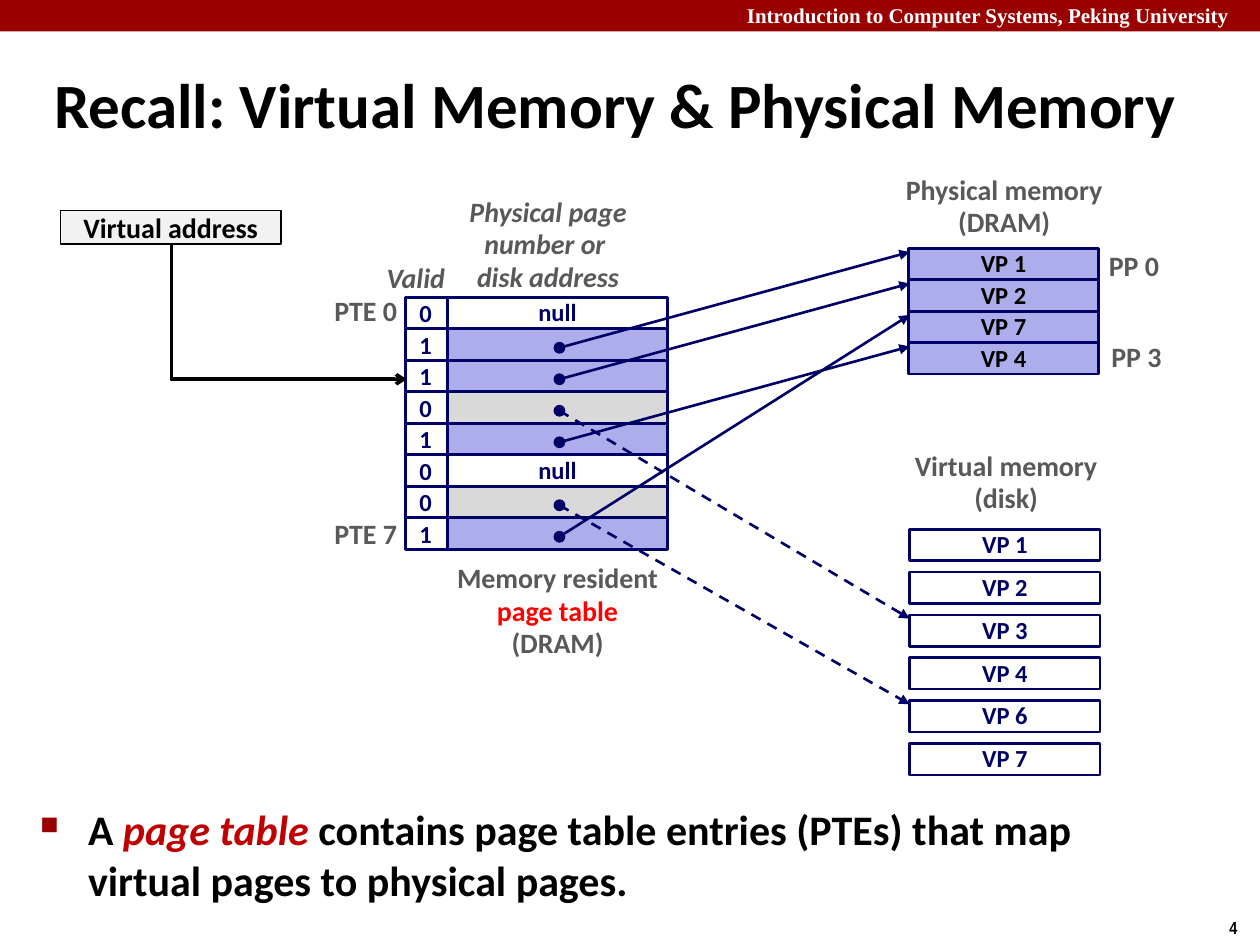
from lxml import etree
from pptx import Presentation
from pptx.dml.color import RGBColor
from pptx.enum.dml import MSO_LINE
from pptx.enum.shapes import MSO_CONNECTOR, MSO_SHAPE
from pptx.enum.text import MSO_ANCHOR, MSO_AUTO_SIZE, PP_ALIGN
from pptx.oxml.ns import qn
from pptx.util import Inches, Pt

RECT, OVAL = MSO_SHAPE.RECTANGLE, MSO_SHAPE.OVAL
STRAIGHT, ELBOW = MSO_CONNECTOR.STRAIGHT, MSO_CONNECTOR.ELBOW
LEFT, CENTER, RIGHT = PP_ALIGN.LEFT, PP_ALIGN.CENTER, PP_ALIGN.RIGHT
TOP, MIDDLE = MSO_ANCHOR.TOP, MSO_ANCHOR.MIDDLE
FIT, NO_FIT = MSO_AUTO_SIZE.SHAPE_TO_FIT_TEXT, MSO_AUTO_SIZE.NONE
DASH = MSO_LINE.DASH

NAVY, LILAC, SILVER, WHITE, BLACK = "000066", "ADADEB", "D9D9D9", "FFFFFF", "000000"
GRAY, MAROON = "595959", "990000"

ROW_H = 0.25
TABLE_TOP, VALID_X, ENTRY_X = 2.36, 3.22, 3.55
DOT_X, DOT_SIZE = 4.4, 0.08
# valid bit, fill, kind of target, target page
PAGE_TABLE = [
    ("0", WHITE, None, None),
    ("1", LILAC, "memory", "VP 1"),
    ("1", LILAC, "memory", "VP 2"),
    ("0", SILVER, "disk", "VP 3"),
    ("1", LILAC, "memory", "VP 4"),
    ("0", WHITE, None, None),
    ("0", SILVER, "disk", "VP 6"),
    ("1", LILAC, "memory", "VP 7"),
]
MEMORY_TOPS = {page: 1.97 + ROW_H * i
               for i, page in enumerate(["VP 1", "VP 2", "VP 7", "VP 4"])}
DISK_TOPS = {page: 4.2 + 0.34 * i
             for i, page in enumerate(["VP 1", "VP 2", "VP 3", "VP 4", "VP 6", "VP 7"])}
PAGE_TOPS = {"memory": MEMORY_TOPS, "disk": DISK_TOPS}
PAGE_X, PAGE_W = 7.22, 1.51


def rgb(value):
    return RGBColor.from_string(value)


class Diagram:
    def __init__(self, slide):
        self.slide = slide
        self.font = {"name": "Calibri", "size": Pt(16), "bold": True, "italic": False}

    def set_text(self, shape, paragraphs, align=CENTER, anchor=MIDDLE, spacing=0.98,
                 wrap=False, color=GRAY, **font):
        """Fill a shape; each paragraph is a string or a list of (text, format) runs."""
        tf = shape.text_frame
        tf.word_wrap, tf.vertical_anchor = wrap, anchor
        for i, runs in enumerate(paragraphs):
            p = tf.paragraphs[0] if i == 0 else tf.add_paragraph()
            p.alignment, p.line_spacing = align, spacing
            for text, extra in [(runs, {})] if isinstance(runs, str) else runs:
                r = p.add_run()
                r.text = text
                look = {**self.font, "color": color, **font, **extra}
                r.font.color.rgb = rgb(look.pop("color"))
                for name, value in look.items():
                    setattr(r.font, name, value)
        return tf

    def title(self, text, box):
        sp = self.slide.shapes.title
        for name, value in zip(("left", "top", "width", "height"), box):
            setattr(sp, name, Inches(value))
        self.set_text(sp, [text], align=LEFT, spacing=1.0, wrap=True,
                      color=BLACK, size=Pt(36))

    def shape(self, box, fill=None, line=NAVY, width=1.5, kind=RECT):
        sp = self.slide.shapes.add_shape(kind, *map(Inches, box))
        sp.shadow.inherit = False
        if fill:
            sp.fill.solid()
            sp.fill.fore_color.rgb = rgb(fill)
        else:
            sp.fill.background()
        if line:
            sp.line.color.rgb = rgb(line)
            sp.line.width = Pt(width)
        else:
            sp.line.fill.background()
        return sp

    def cell(self, box, text, fill, color):
        self.set_text(self.shape(box, fill), [text], color=color, size=Pt(14))

    def label(self, box, paragraphs, fit=FIT, **style):
        sp = self.slide.shapes.add_textbox(*map(Inches, box))
        tf = self.set_text(sp, paragraphs, **style)
        tf.auto_size = fit
        return tf

    def arrow(self, start, end, color=NAVY, width=1.5, dashed=False,
              kind=STRAIGHT, head="triangle"):
        c = self.slide.shapes.add_connector(kind, *map(Inches, (*start, *end)))
        c.line.color.rgb = rgb(color)
        c.line.width = Pt(width)
        if dashed:
            c.line.dash_style = DASH
        spPr = c._element.spPr
        etree.SubElement(spPr.find(qn("a:ln")), qn("a:tailEnd"), type=head)
        etree.SubElement(spPr, qn("a:effectLst"))
        return c

    def down_then_right(self, start, end, **style):
        """Draw an elbow arrow with one corner, leaving downwards."""
        c = self.arrow(start, end, kind=ELBOW, **style)
        (x1, y1), (x2, y2) = start, end
        run, drop = x2 - x1, y2 - y1
        c.left = Inches((x1 + x2 - drop) / 2)
        c.top = Inches((y1 + y2 - run) / 2)
        c.width, c.height = Inches(drop), Inches(run)
        spPr = c._element.spPr
        spPr.find(qn("a:prstGeom")).set("prst", "bentConnector2")
        xfrm = spPr.find(qn("a:xfrm"))
        xfrm.set("rot", "16200000")
        xfrm.set("flipH", "1")

    def bullet(self, box, runs):
        tf = self.label(box, [runs], fit=NO_FIT, align=LEFT, anchor=TOP, spacing=1.0,
                        wrap=True, color=BLACK, size=Pt(24))
        p = tf.paragraphs[0]
        p.space_before = Pt(4.8)
        pPr = p._p.get_or_add_pPr()
        pPr.set("marL", str(Inches(0.38)))
        pPr.set("indent", str(-Inches(0.38)))
        color = etree.SubElement(pPr, qn("a:buClr"))
        etree.SubElement(color, qn("a:srgbClr"), val=MAROON)
        etree.SubElement(pPr, qn("a:buSzPct"), val="60000")
        etree.SubElement(pPr, qn("a:buChar"), char="■")


def draw_page_table(d):
    for i, (valid, fill, target, _) in enumerate(PAGE_TABLE):
        top = TABLE_TOP + ROW_H * i
        entry = (ENTRY_X, top, 1.75, ROW_H)
        if target:
            d.shape(entry, fill)
        else:
            d.cell(entry, "null", fill, NAVY)
        d.shape((VALID_X, top, ENTRY_X - VALID_X, ROW_H))
        d.label((3.23, top - 0.03, 0.31, 0.33), [valid], align=LEFT, anchor=TOP,
                color=NAVY, size=Pt(14))


def draw_pages(d):
    for page, top in reversed(MEMORY_TOPS.items()):
        d.cell((PAGE_X - 0.01, top, PAGE_W, ROW_H), page, LILAC, BLACK)
    for page, top in DISK_TOPS.items():
        d.cell((PAGE_X, top, PAGE_W, ROW_H), page, WHITE, NAVY)


def draw_mappings(d):
    for i, (_, _, target, page) in enumerate(PAGE_TABLE):
        if target:
            y = TABLE_TOP + ROW_H * i + 0.15
            d.shape((DOT_X, y - DOT_SIZE / 2, DOT_SIZE, DOT_SIZE), NAVY, width=1, kind=OVAL)
            d.arrow((DOT_X + DOT_SIZE / 2, y), (PAGE_X, PAGE_TOPS[target][page] + 0.03),
                    dashed=target == "disk")


def main():
    prs = Presentation()
    prs.slide_width, prs.slide_height = Inches(10), Inches(7.5)
    d = Diagram(prs.slides.add_slide(prs.slide_layouts[5]))

    d.shape((0, 0, 10, 0.25), MAROON, line=None)
    d.label((5.83, -0.03, 4.24, 0.3), ["Introduction to Computer Systems, Peking University"],
            align=LEFT, anchor=TOP, spacing=1.0, wrap=True, color=WHITE,
            name="Times New Roman", size=Pt(12))
    d.label((9.66, 7.23, 0.34, 0.27), ["4"], align=LEFT, anchor=TOP, spacing=1.0,
            color=BLACK, name="Arial Narrow", size=Pt(10))
    d.title("Recall: Virtual Memory & Physical Memory", (0.33, 0.39, 9.51, 0.86))

    draw_page_table(d)
    draw_pages(d)
    draw_mappings(d)

    d.label((3.5, 4.41, 1.85, 0.89),
            ["Memory resident", [("page table", {"color": "FF0000"})], "(DRAM)"], anchor=TOP)
    d.label((7.08, 1.33, 1.78, 0.63), ["Physical memory", "(DRAM)"], anchor=TOP)
    d.label((7.14, 3.52, 1.69, 0.63), ["Virtual memory", "(disk)"], anchor=TOP)
    d.label((2.97, 2.03, 0.75, 0.37), ["Valid"], align=LEFT, anchor=TOP, wrap=True, italic=True)
    d.label((3.62, 1.5, 1.46, 0.89), ["Physical page", "number or ", "disk address"], italic=True)
    for text, top in (("PTE 0", 2.29), ("PTE 7", 4.06)):
        d.label((2.55, top, 0.7, 0.37), [text], align=RIGHT)
    for text, left, top in (("PP 0", 8.7, 1.93), ("PP 3", 8.72, 2.65)):
        d.label((left, top, 0.6, 0.37), [text])

    address = d.shape((0.48, 1.67, 1.75, 0.27), "F2F2F2", BLACK, width=1)
    d.set_text(address, ["Virtual address"], spacing=1.0, wrap=True, color=BLACK)
    d.down_then_right((1.36, 1.93), (3.23, 3.01), color=BLACK, width=2, head="arrow")

    d.bullet((0.22, 6.33, 9.09, 0.96), [
        ("A ", {}),
        ("page table ", {"color": "C00000", "italic": True}),
        ("contains page table entries (PTEs) that map virtual pages to physical pages.", {}),
    ])
    prs.save("out.pptx")


if __name__ == "__main__":
    main()
